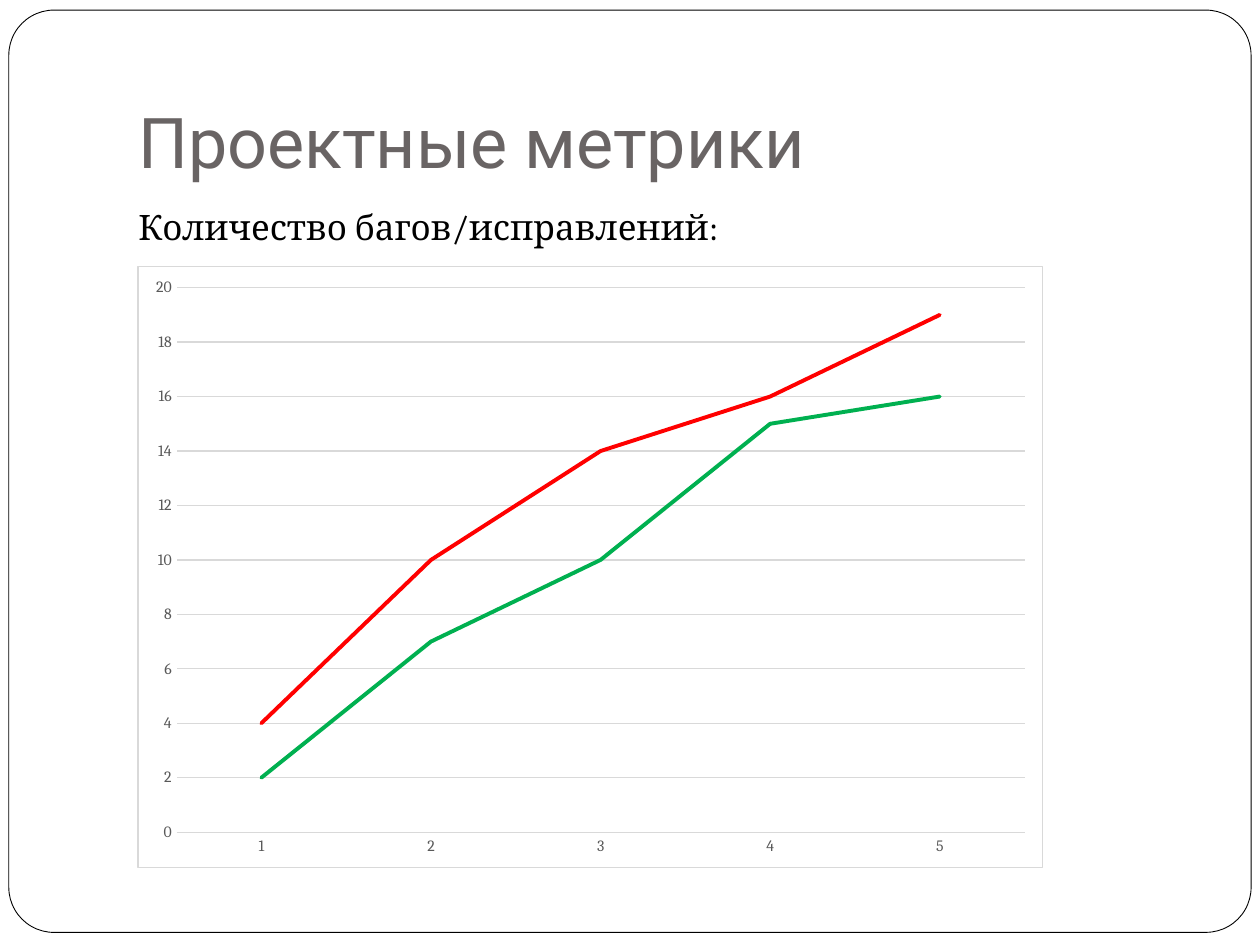
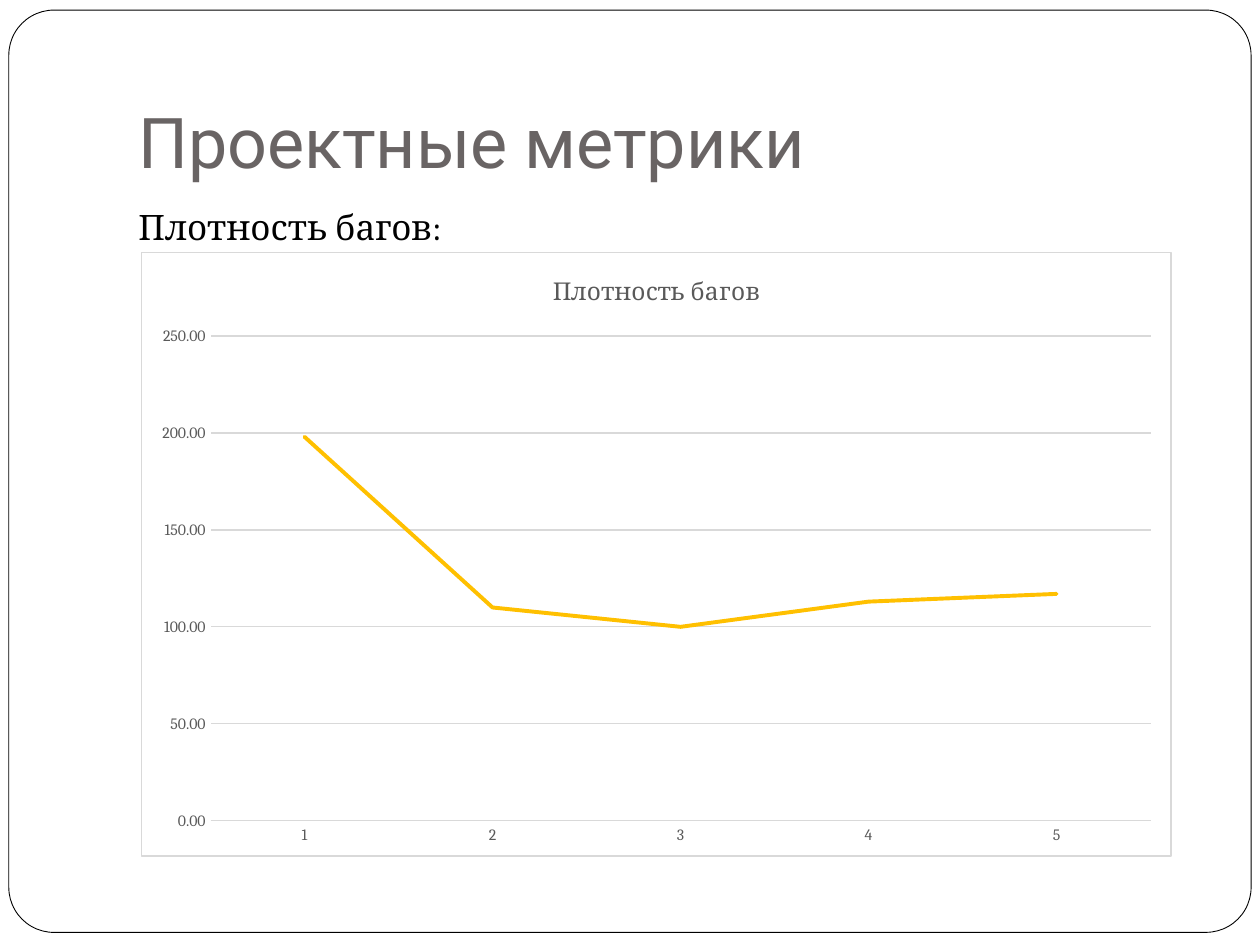
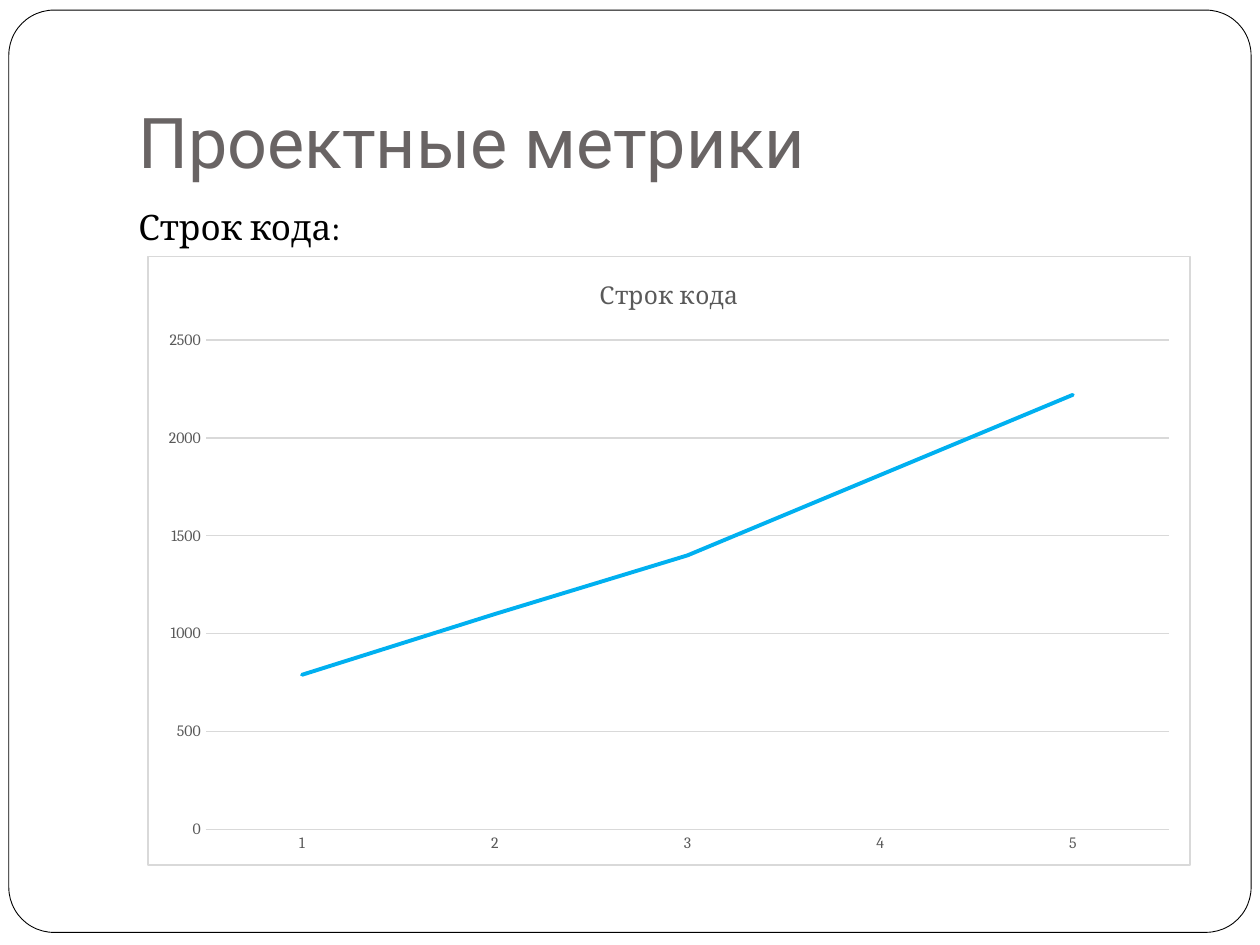
"""Builds three slides of project metrics, each with one line chart."""
from dataclasses import dataclass
from typing import Optional

from lxml import etree
from pptx import Presentation
from pptx.chart.chart import Chart
from pptx.chart.data import CategoryChartData
from pptx.dml.color import RGBColor
from pptx.enum.chart import XL_CHART_TYPE, XL_TICK_MARK
from pptx.enum.shapes import MSO_SHAPE
from pptx.enum.text import MSO_ANCHOR
from pptx.oxml import parse_xml
from pptx.oxml.ns import nsdecls, qn
from pptx.slide import Slide
from pptx.text.text import Font
from pptx.util import Inches, Pt


@dataclass(frozen=True)
class Theme:
    """Colours, fonts and sizes shared by all slides."""
    paper: str = "FFFFFF"
    ink: str = "000000"
    title: str = "696464"
    chart_text: str = "595959"
    grid: str = "D9D9D9"
    red: str = "FF0000"
    green: str = "00B050"
    amber: str = "FFC000"
    blue: str = "00B0F0"
    title_font: str = "Roboto"
    body_font: str = "Cambria"
    title_size: float = 40
    body_size: float = 20
    chart_title_size: float = 14
    chart_size: float = 10
    axis_size: float = 9
    frame_width: float = 0.5
    grid_width: float = 0.75
    series_width: float = 2.25


@dataclass(frozen=True)
class Box:
    """A place on the slide, in inches."""
    left: float
    top: float
    width: float
    height: float

    def lengths(self) -> tuple:
        """Return left, top, width and height as lengths."""
        return tuple(Inches(v) for v in
                     (self.left, self.top, self.width, self.height))


@dataclass(frozen=True)
class Line:
    """One series of a chart."""
    name: str
    values: tuple
    color: str


@dataclass(frozen=True)
class Metric:
    """One slide: its caption and its chart."""
    caption: str
    box: Box
    lines: tuple
    top_value: float
    step: float
    chart_title: Optional[str] = None
    number_format: str = "General"


THEME = Theme()
HEADING = "Проектные метрики"
FRAME = Box(0.07, 0.08, 9.86, 7.32)
TITLE_BOX = Box(1, 0.3, 8.5, 1.25)
BODY_BOX = Box(1, 1.58, 8.5, 5)
CATEGORIES = ("1", "2", "3", "4", "5")

METRICS = (
    Metric("Количество багов/исправлений:", Box(1.09, 2.11, 7.19, 4.78),
           (Line("Series 1", (4, 10, 14, 16, 19), THEME.red),
            Line("Series 2", (2, 7, 10, 15, 16), THEME.green)),
           20, 2),
    Metric("Плотность багов:", Box(1.12, 2, 8.18, 4.8),
           (Line("Плотность багов", (198, 110, 100, 113, 117), THEME.amber),),
           250, 50, "Плотность багов", "0.00"),
    Metric("Строк кода:", Box(1.17, 2.03, 8.28, 4.84),
           (Line("Строк кода", (790, 1100, 1400, 1810, 2220), THEME.blue),),
           2500, 500, "Строк кода"),
)


def style_font(font: Font, name: str, size: float, color: str) -> None:
    """Set the face, size and colour of a font."""
    font.name, font.size, font.bold = name, Pt(size), False
    font.color.rgb = RGBColor.from_string(color)


def style_line(line, color: str, width: float) -> None:
    """Set the colour and width of a line."""
    line.color.rgb = RGBColor.from_string(color)
    line.width = Pt(width)


def add_frame(slide: Slide) -> None:
    """Draw the rounded frame around the slide."""
    frame = slide.shapes.add_shape(MSO_SHAPE.ROUNDED_RECTANGLE,
                                   *FRAME.lengths())
    frame.adjustments[0] = 0.049
    frame.shadow.inherit = False
    frame.fill.solid()
    frame.fill.fore_color.rgb = RGBColor.from_string(THEME.paper)
    style_line(frame.line, THEME.ink, THEME.frame_width)


def add_text(slide: Slide, box: Box, text: str, font: str, size: float,
             color: str, anchor: MSO_ANCHOR = MSO_ANCHOR.TOP,
             bottom: float = 0.05, before: float = 0) -> None:
    """Add a wrapped text box holding one paragraph."""
    frame = slide.shapes.add_textbox(*box.lengths()).text_frame
    frame.word_wrap = True
    frame.vertical_anchor = anchor
    frame.margin_bottom = Inches(bottom)
    paragraph = frame.paragraphs[0]
    paragraph.space_before = Pt(before)
    run = paragraph.add_run()
    run.text = text
    style_font(run.font, font, size, color)


def style_chart_area(chart: Chart) -> None:
    """Give the chart a square-cornered, filled and outlined background."""
    space = chart.element
    corners = etree.SubElement(space, qn("c:roundedCorners"))
    corners.set("val", "0")
    space.find(qn("c:date1904")).addnext(corners)
    space.find(qn("c:chart")).addnext(parse_xml(
        f'<c:spPr {nsdecls("c", "a")}>'
        f'<a:solidFill><a:srgbClr val="{THEME.paper}"/></a:solidFill>'
        f'<a:ln w="{Pt(THEME.grid_width)}"><a:solidFill>'
        f'<a:srgbClr val="{THEME.grid}"/></a:solidFill></a:ln></c:spPr>'))


def style_axes(chart: Chart, metric: Metric) -> None:
    """Set the scale, labels and grid of both axes."""
    for axis in (chart.category_axis, chart.value_axis):
        axis.major_tick_mark = axis.minor_tick_mark = XL_TICK_MARK.NONE
        style_font(axis.tick_labels.font, THEME.body_font, THEME.axis_size,
                   THEME.chart_text)
    style_line(chart.category_axis.format.line, THEME.grid, THEME.grid_width)
    values = chart.value_axis
    values.minimum_scale, values.maximum_scale = 0, metric.top_value
    values.major_unit = metric.step
    values.has_major_gridlines = True
    style_line(values.major_gridlines.format.line, THEME.grid,
               THEME.grid_width)
    values.format.line.fill.background()
    values.tick_labels.number_format = metric.number_format
    values.tick_labels.number_format_is_linked = False


def add_line_chart(slide: Slide, metric: Metric) -> None:
    """Add the line chart of a metric."""
    data = CategoryChartData()
    data.categories = CATEGORIES
    for line in metric.lines:
        data.add_series(line.name, line.values)
    chart = slide.shapes.add_chart(XL_CHART_TYPE.LINE, *metric.box.lengths(),
                                   data).chart
    style_font(chart.font, THEME.body_font, THEME.chart_size, THEME.ink)
    chart.has_legend = False
    chart.has_title = metric.chart_title is not None
    if metric.chart_title:
        frame = chart.chart_title.text_frame
        frame.text = metric.chart_title
        style_font(frame.paragraphs[0].runs[0].font, THEME.body_font,
                   THEME.chart_title_size, THEME.chart_text)
        chart.chart_title.include_in_layout = False
    plot = chart.plots[0]
    plot.vary_by_categories = False
    for series, line in zip(plot.series, metric.lines):
        series.smooth = False
        style_line(series.format.line, line.color, THEME.series_width)
    for outline in chart.element.xpath(".//c:ser/c:spPr/a:ln"):
        outline.set("cap", "rnd")
    style_axes(chart, metric)
    style_chart_area(chart)


def add_metric_slide(deck, metric: Metric) -> None:
    """Add a slide with frame, heading, caption and chart."""
    slide = deck.slides.add_slide(deck.slide_layouts[6])
    add_frame(slide)
    add_text(slide, TITLE_BOX, HEADING, THEME.title_font, THEME.title_size,
             THEME.title, MSO_ANCHOR.BOTTOM, bottom=0.1)
    add_text(slide, BODY_BOX, metric.caption, THEME.body_font,
             THEME.body_size, THEME.ink, before=5.8)
    add_line_chart(slide, metric)


def main() -> None:
    """Build and save the presentation."""
    deck = Presentation()
    deck.slide_width, deck.slide_height = Inches(10), Inches(7.5)
    for metric in METRICS:
        add_metric_slide(deck, metric)
    deck.save("out.pptx")


main()
